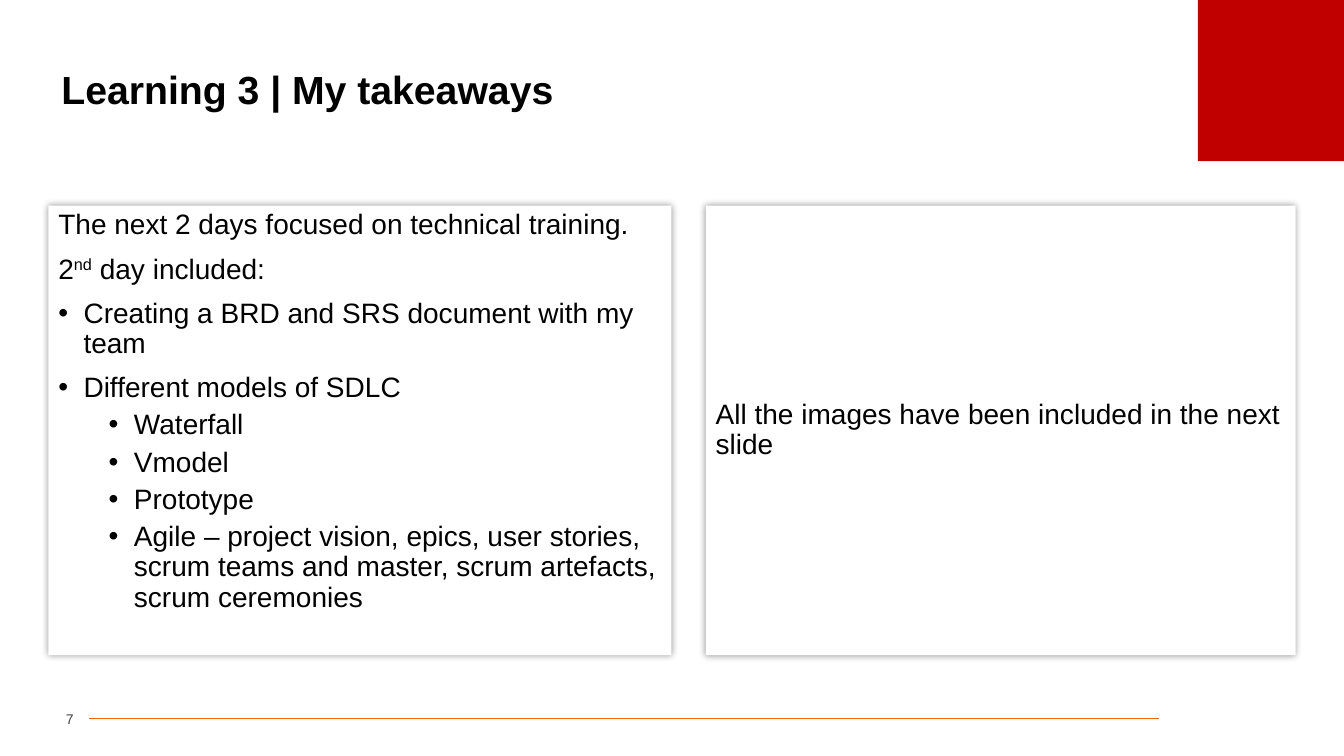
from dataclasses import dataclass

from lxml import etree
from pptx import Presentation
from pptx.dml.color import RGBColor
from pptx.enum.shapes import MSO_CONNECTOR, MSO_SHAPE
from pptx.enum.text import MSO_ANCHOR, MSO_AUTO_SIZE, PP_ALIGN
from pptx.oxml.ns import qn
from pptx.util import Inches, Pt

RECT, STRAIGHT = MSO_SHAPE.RECTANGLE, MSO_CONNECTOR.STRAIGHT
TOP, MIDDLE = MSO_ANCHOR.TOP, MSO_ANCHOR.MIDDLE
LEFT, RIGHT = PP_ALIGN.LEFT, PP_ALIGN.RIGHT
NO_AUTOFIT = MSO_AUTO_SIZE.NONE


@dataclass(frozen=True)
class Theme:
    font: str = "Arial"
    text: RGBColor = RGBColor(0x00, 0x00, 0x00)
    number: RGBColor = RGBColor(0x40, 0x40, 0x40)
    panel: RGBColor = RGBColor(0xFF, 0xFF, 0xFF)
    accent: RGBColor = RGBColor(0xC0, 0x00, 0x00)
    rule: RGBColor = RGBColor(0xFF, 0x66, 0x00)
    title_size: Pt = Pt(28)
    body_size: Pt = Pt(20)
    number_size: Pt = Pt(10)


THEME = Theme()


def add_run(paragraph, text, size, color=THEME.text, bold=False):
    run = paragraph.add_run()
    run.text = text
    run.font.name = THEME.font
    run.font.size = size
    run.font.bold = bold
    run.font.color.rgb = color
    return run


def add_block(slide, left, top, width, height, fill):
    block = slide.shapes.add_shape(RECT, Inches(left), Inches(top), Inches(width), Inches(height))
    block.shadow.inherit = False
    block.fill.solid()
    block.fill.fore_color.rgb = fill
    block.line.fill.background()
    return block


prs = Presentation()
prs.slide_width, prs.slide_height = Inches(13.33), Inches(7.5)
slide = prs.slides.add_slide(prs.slide_layouts[5])

# Footer rule and corner block
footer_rule = slide.shapes.add_connector(
    STRAIGHT, Inches(0.88), Inches(7.13), Inches(11.5), Inches(7.13))
footer_rule.line.color.rgb = THEME.rule
footer_rule.line.width = Pt(0.5)
etree.SubElement(footer_rule.line._get_or_add_ln().getparent(), qn("a:effectLst"))
add_block(slide, 11.88, 0, 1.45, 1.6, THEME.accent)

# Title
title = slide.shapes.title
title.left, title.top = Inches(0.51), Inches(0.52)
title.width, title.height = Inches(12.31), Inches(0.78)
title.text_frame.vertical_anchor = MIDDLE
title.text_frame.auto_size = NO_AUTOFIT
heading = title.text_frame.paragraphs[0]
heading.alignment = LEFT
heading.line_spacing = 0.9
add_run(heading, "Learning 3 | My takeaways", THEME.title_size, bold=True)

# Page number
page_number = slide.shapes.add_textbox(Inches(0.33), Inches(6.99), Inches(0.4), Inches(0.29))
number_frame = page_number.text_frame
number_frame.word_wrap = True
number_frame.vertical_anchor = MIDDLE
number_frame.margin_left = number_frame.margin_right = 0
number_frame.paragraphs[0].alignment = RIGHT
add_run(number_frame.paragraphs[0], "7", THEME.number_size, THEME.number)

# Panels: left, width, anchor, paragraphs as (level, runs); level None has no bullet
TAKEAWAYS = [
    (None, ["The next 2 days focused on technical training."]),
    (None, ["2", "nd", " day included:"]),
    (0, ["Creating a BRD and SRS document with my team"]),
    (0, ["Different models of SDLC"]),
    (1, ["Waterfall"]),
    (1, ["Vmodel"]),
    (1, ["Prototype"]),
    (1, ["Agile – project vision, epics, user stories, scrum teams and master, "
         "scrum artefacts, scrum ceremonies"]),
]
IMAGES_NOTE = [(None, ["All the images have been included in the next slide"])]
PANELS = [(0.48, 6.18, TOP, TAKEAWAYS), (7, 5.85, MIDDLE, IMAGES_NOTE)]

for left, width, anchor, paragraphs in PANELS:
    panel = add_block(slide, left, 2.04, width, 4.46, THEME.panel)

    # Soft glow around the panel
    effects = panel._element.spPr.find(qn("a:effectLst"))
    glow = etree.SubElement(effects, qn("a:outerShdw"), blurRad=str(Pt(5)),
                            dist="0", dir="0", algn="ctr", rotWithShape="0")
    glow_color = etree.SubElement(glow, qn("a:srgbClr"), val=str(THEME.text))
    etree.SubElement(glow_color, qn("a:alpha"), val="40000")

    frame = panel.text_frame
    frame.word_wrap = True
    frame.vertical_anchor = anchor
    for index, (level, runs) in enumerate(paragraphs):
        paragraph = frame.add_paragraph() if index else frame.paragraphs[0]
        paragraph.alignment = LEFT
        paragraph.line_spacing = 0.9
        paragraph.space_before = Pt(5 if level == 1 else 10)
        if level is not None:
            paragraph.level = level
            props = paragraph._p.get_or_add_pPr()
            props.set("marL", str(Inches(0.25 + 0.5 * level)))
            props.set("indent", str(Inches(-0.25)))
            etree.SubElement(props, qn("a:buFont"), typeface=THEME.font)
            etree.SubElement(props, qn("a:buChar"), char="•")
        for text in runs:
            run = add_run(paragraph, text, THEME.body_size)
            if text == "nd":
                run._r.get_or_add_rPr().set("baseline", "30000")

prs.save("out.pptx")
